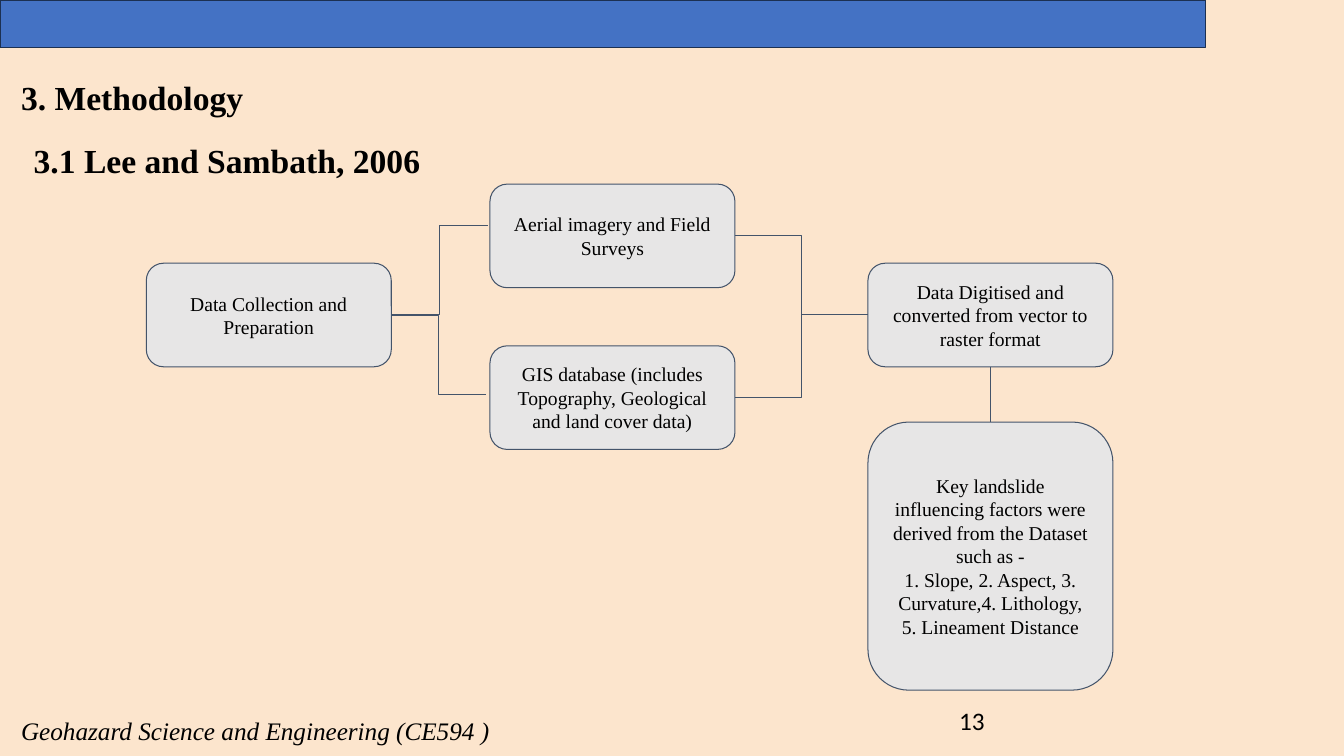
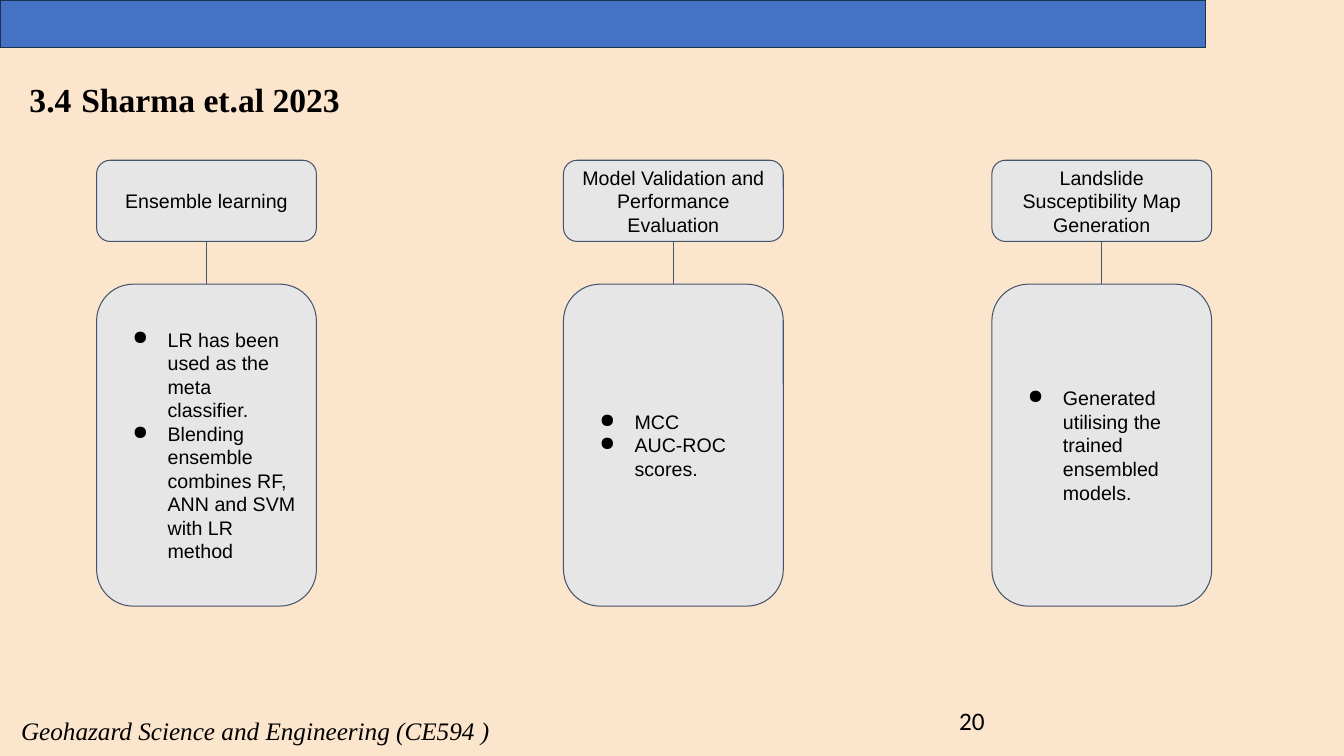
from dataclasses import dataclass

from lxml import etree
from pptx import Presentation
from pptx.dml.color import RGBColor
from pptx.enum import shapes, text
from pptx.oxml import ns
from pptx.util import Pt

FOOTER = "Geohazard Science and Engineering (CE594 )"

COLLECTION_PAGE = {
    "number": "13",
    # text runs with their sizes, then left, top, width, height
    "headings": [
        ([("3. Methodology", 24)], (8, 47.5, 657, 44)),
        ([("3.1 Lee and Sambath, 2006", 24)], (17, 93, 332, 39)),
    ],
    # key: left, top, height, paragraphs
    "steps": {
        "collection": (104.5, 188, 74, ["Data Collection and Preparation"]),
        "imagery": (350, 131.5, 74, ["Aerial imagery and Field Surveys"]),
        "gis": (350, 247, 74, ["GIS database (includes Topography, Geological and land cover data)"]),
        "digitised": (620, 188, 74, ["Data Digitised and converted from vector to raster format"]),
        "factors": (620, 301.5, 191.5, [
            "Key landslide influencing factors were derived from the Dataset such as -",
            "1. Slope, 2. Aspect, 3. Curvature,4. Lithology, 5. Lineament Distance",
        ]),
    },
    # from, to, how far the end lies (right, down) from the middle of the left side
    "branches": [
        ("collection", "imagery", (-1.5, -7.5)),
        ("collection", "gis", (-3, -2.5)),
        ("imagery", "digitised", (0, -0.5)),
        ("gis", "digitised", (0, -0.5)),
    ],
}

ENSEMBLE_PAGE = {
    "number": "20",
    "headings": [
        ([("3.4", 24), (" ", 28), ("Sharma et.al 2023", 24)], (14, 45.5, 335, 48)),
    ],
    # left, stage, details
    "stages": [
        (69, "Ensemble learning", [
            "LR has been used as the meta classifier.",
            "Blending ensemble combines RF, ANN and SVM with LR method",
        ]),
        (402.5, "Model Validation and Performance Evaluation", ["MCC", "AUC-ROC scores."]),
        (708.5, "Landslide Susceptibility Map Generation", [
            "Generated utilising the trained ensembled models.",
        ]),
    ],
}


@dataclass(frozen=True)
class Theme:
    page: str = "FCE5CD"
    band: str = "4472C4"
    band_edge: str = "1C3052"
    box: str = "E7E6E6"
    edge: str = "44546A"
    ink: str = "000000"
    serif: str = "Times New Roman"
    sans: str = "Arial"
    number_face: str = "Calibri"
    small: float = 18
    body: float = 14
    hairline: float = 0.75
    padding: float = 7.2
    slim_padding: float = 3.6
    bullet_indent: float = 36
    bullet_hang: float = 25


THEME = Theme()
STEP_WIDTH = 175
STAGE_WIDTH, STAGE_TOP, STAGE_HEIGHT = 157, 114.5, 58
DETAIL_TOP, DETAIL_HEIGHT = 203, 230


def rgb(value):
    return RGBColor.from_string(value)


def apply(target, formats):
    for name, value in formats.items():
        setattr(target, name, value)


def set_frame(frame, padding, anchor=text.MSO_ANCHOR.TOP):
    apply(frame, {
        "word_wrap": True,
        "vertical_anchor": anchor,
        "margin_left": Pt(THEME.padding),
        "margin_right": Pt(THEME.padding),
        "margin_top": Pt(padding),
        "margin_bottom": Pt(padding),
    })


def write_run(paragraph, words, size, face, **style):
    run = paragraph.add_run()
    run.text = words
    apply(run.font, {"size": Pt(size), "name": face, **style})
    run.font.color.rgb = rgb(THEME.ink)


def add_label(slide, runs, place, face, padding, **style):
    frame = slide.shapes.add_textbox(*map(Pt, place)).text_frame
    set_frame(frame, padding)
    for words, size in runs:
        write_run(frame.paragraphs[0], words, size, face, **style)


def add_panel(slide, preset, place, fill, edge, weight):
    panel = slide.shapes.add_shape(preset, *map(Pt, place))
    panel.shadow.inherit = False
    panel.fill.solid()
    panel.fill.fore_color.rgb = rgb(fill)
    panel.line.color.rgb = rgb(edge)
    panel.line.width = Pt(weight)
    return panel


def add_bullet(paragraph):
    props = paragraph._p.get_or_add_pPr()
    props.set("marL", str(Pt(THEME.bullet_indent)))
    props.set("indent", str(-Pt(THEME.bullet_hang)))
    color = etree.SubElement(props, ns.qn("a:buClr"))
    etree.SubElement(color, ns.qn("a:srgbClr"), val=THEME.ink)
    etree.SubElement(props, ns.qn("a:buChar"), char="●")


def add_box(slide, place, lines, face, bulleted=False):
    box = add_panel(slide, shapes.MSO_SHAPE.ROUNDED_RECTANGLE, place,
                    THEME.box, THEME.edge, THEME.hairline)
    frame = box.text_frame
    set_frame(frame, THEME.padding, text.MSO_ANCHOR.MIDDLE)
    for index, line in enumerate(lines):
        paragraph = frame.add_paragraph() if index else frame.paragraphs[0]
        if bulleted:
            add_bullet(paragraph)
        paragraph.alignment = text.PP_ALIGN.LEFT if bulleted else text.PP_ALIGN.CENTER
        write_run(paragraph, line, THEME.body, face)
    return box


def add_link(slide, kind, *ends):
    link = slide.shapes.add_connector(kind, *ends)
    link.line.color.rgb = rgb(THEME.edge)
    link.line.width = Pt(THEME.hairline)
    etree.SubElement(link._element.spPr, ns.qn("a:effectLst"))
    return link


def join_down(slide, upper, lower):
    middle = upper.left + upper.width // 2
    link = add_link(slide, shapes.MSO_CONNECTOR.STRAIGHT,
                    middle, upper.top + upper.height, middle, lower.top)
    link.begin_connect(upper, 2)
    link.end_connect(lower, 0)


def branch_right(slide, source, target, offset):
    right, down = map(Pt, offset)
    add_link(slide, shapes.MSO_CONNECTOR.ELBOW,
             source.left + source.width, source.top + source.height // 2,
             target.left + right, target.top + target.height // 2 + down)


def add_page(deck, page):
    """Add a slide with the shared band and footer, and its own number and headings."""
    slide = deck.slides.add_slide(deck.slide_layouts[6])
    slide.background.fill.solid()
    slide.background.fill.fore_color.rgb = rgb(THEME.page)
    add_panel(slide, shapes.MSO_SHAPE.RECTANGLE, (0, 0, 861, 34),
              THEME.band, THEME.band_edge, 1)
    add_label(slide, [(FOOTER, THEME.small)], (8, 507.5, 357, 29),
              THEME.serif, THEME.slim_padding, italic=True)
    add_label(slide, [(page["number"], THEME.small)], (678, 500.5, 216, 29),
              THEME.number_face, THEME.slim_padding)
    for runs, place in page["headings"]:
        add_label(slide, runs, place, THEME.serif, THEME.padding, bold=True)
    return slide


def add_collection_page(deck):
    slide = add_page(deck, COLLECTION_PAGE)
    steps = {
        key: add_box(slide, (left, top, STEP_WIDTH, height), lines, THEME.serif)
        for key, (left, top, height, lines) in COLLECTION_PAGE["steps"].items()
    }
    for source, target, offset in COLLECTION_PAGE["branches"]:
        branch_right(slide, steps[source], steps[target], offset)
    join_down(slide, steps["digitised"], steps["factors"])


def add_ensemble_page(deck):
    slide = add_page(deck, ENSEMBLE_PAGE)
    for left, name, details in ENSEMBLE_PAGE["stages"]:
        stage = add_box(slide, (left, STAGE_TOP, STAGE_WIDTH, STAGE_HEIGHT),
                        [name], THEME.sans)
        detail = add_box(slide, (left, DETAIL_TOP, STAGE_WIDTH, DETAIL_HEIGHT),
                         details, THEME.sans, bulleted=True)
        join_down(slide, stage, detail)


def main():
    deck = Presentation()
    apply(deck, {"slide_width": Pt(960), "slide_height": Pt(540)})
    add_collection_page(deck)
    add_ensemble_page(deck)
    deck.save("out.pptx")


if __name__ == "__main__":
    main()
